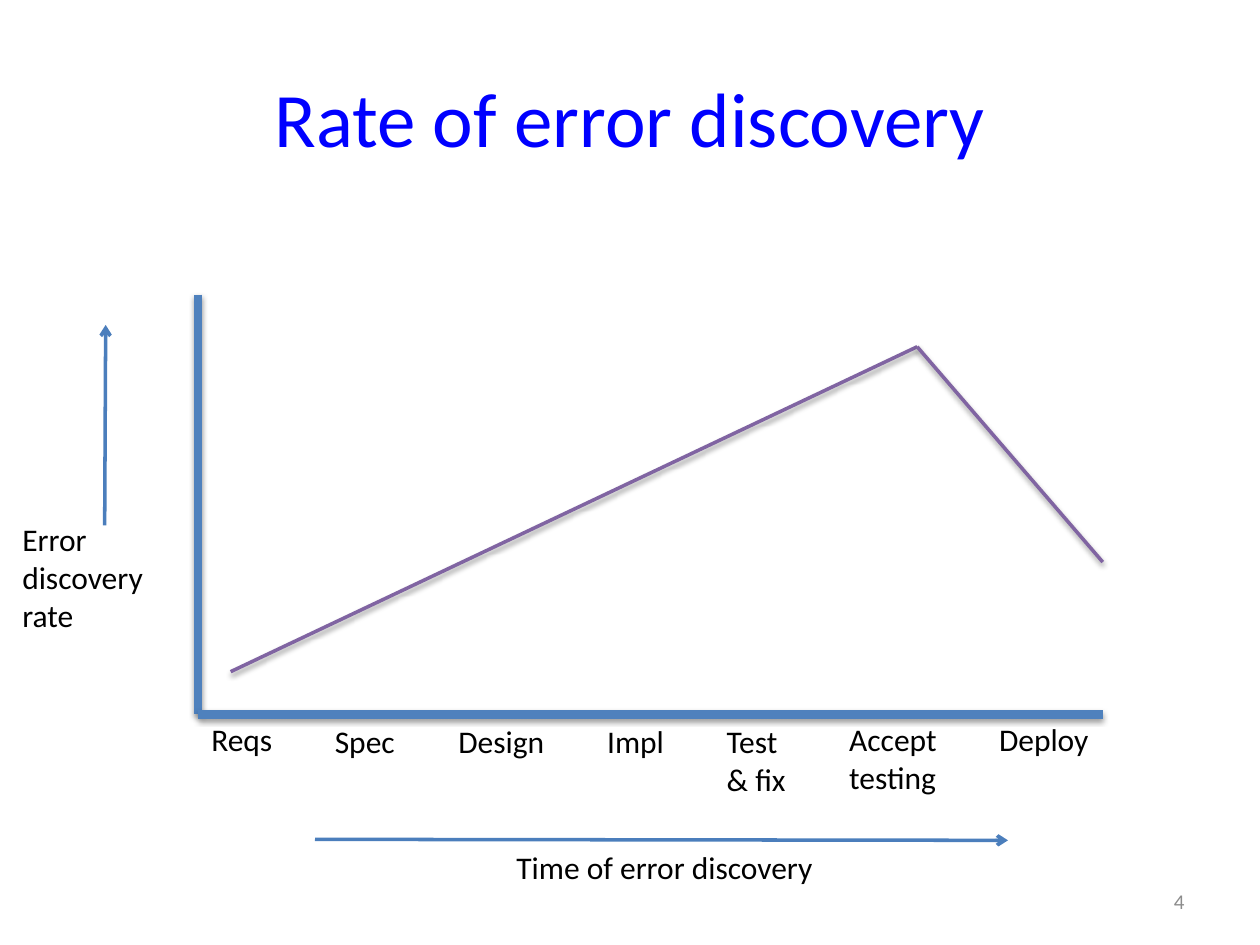
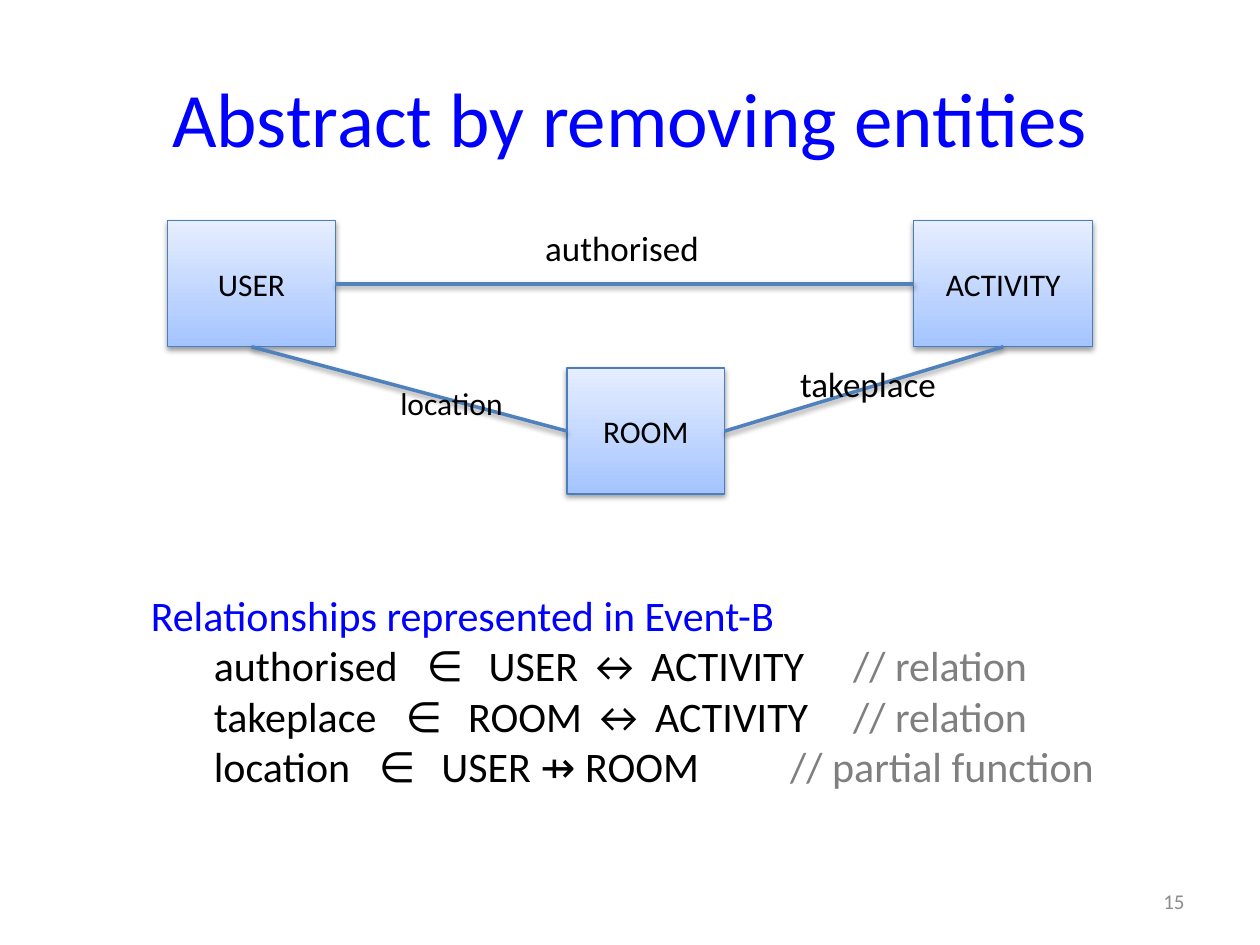
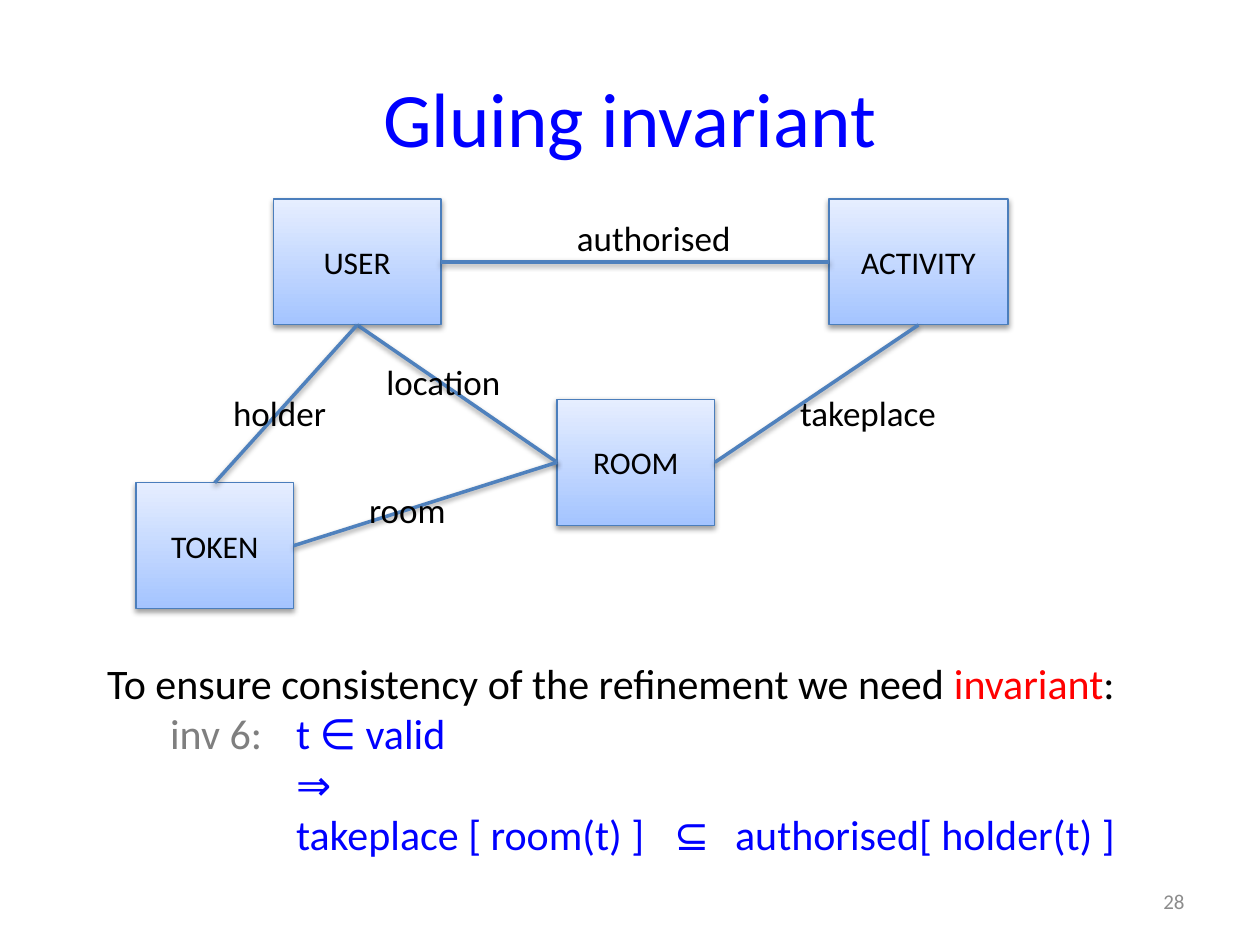
import dataclasses
import typing

import lxml.etree
import pptx
import pptx.dml.color
import pptx.enum.shapes
import pptx.enum.text
import pptx.oxml.ns
import pptx.util
from pptx.util import Cm

FONT = "Calibri"
BLACK, BLUE, RED, GRAY = "000000", "0000FF", "FF0000", "7F7F7F"
NUMBER_GRAY = "8C8C8C"
AXIS_BLUE, EDGE_BLUE, CURVE_PURPLE = "4F81BD", "4B7EBC", "8064A2"
BOX_BOTTOM, BOX_TOP = "A4C4FF", "E6EEFF"

BOX_HEIGHT = 2.54
BOX_WIDTHS = {"USER": 3.38, "ACTIVITY": 3.61, "ROOM": 3.18, "TOKEN": 3.18}
TOP, LEFT, BOTTOM, RIGHT = range(4)  # connection sites of a rectangle


# Lengths in these records are centimetres.
@dataclasses.dataclass(frozen=True)
class Label:
    text: str
    left: float
    top: float
    width: float
    size: int = 20


@dataclasses.dataclass(frozen=True)
class Stroke:
    start: tuple[float, float]
    end: tuple[float, float]
    color: str = AXIS_BLUE
    width: float = 2
    arrow: bool = False


@dataclasses.dataclass(frozen=True)
class Entity:
    name: str
    left: float
    top: float


@dataclasses.dataclass(frozen=True)
class Relation:
    source: str
    source_site: int
    target: str
    target_site: int


@dataclasses.dataclass(frozen=True)
class Statement:
    """One line of coloured phrases; tabs in them go to the stops."""
    phrases: list[tuple[str, str]]
    stops: tuple[float, ...] = ()


def rgb(color: str) -> pptx.dml.color.RGBColor:
    return pptx.dml.color.RGBColor.from_string(color)


def add_xml(parent: typing.Any, tag: str, **attributes: object) -> typing.Any:
    values = {name: str(value) for name, value in attributes.items()}
    return lxml.etree.SubElement(parent, pptx.oxml.ns.qn(tag), values)


def style_run(run: typing.Any, size: int, color: str) -> None:
    run.font.name = FONT
    run.font.size = pptx.util.Pt(size)
    run.font.color.rgb = rgb(color)


def style_runs(paragraph: typing.Any, size: int, color: str) -> None:
    for run in paragraph.runs:
        style_run(run, size, color)


def set_effects(shape: typing.Any, shadow: bool) -> None:
    """Replace the theme's effects by a soft shadow below, or by none."""
    effects = add_xml(shape._element.spPr, "a:effectLst")
    if shadow:
        outer = add_xml(effects, "a:outerShdw", blurRad=40000, dist=20000,
                        dir=5400000, rotWithShape=0)
        black = add_xml(outer, "a:srgbClr", val=BLACK)
        add_xml(black, "a:alpha", val=38000)


def add_text_box(slide: typing.Any, left: float, top: float, width: float,
                 lines: int, size: int, wrap: bool = False) -> typing.Any:
    height = 0.25 + lines * size * 0.043
    frame = slide.shapes.add_textbox(
        Cm(left), Cm(top), Cm(width), Cm(height)).text_frame
    frame.word_wrap = wrap
    frame.auto_size = pptx.enum.text.MSO_AUTO_SIZE.SHAPE_TO_FIT_TEXT
    return frame


def add_label(slide: typing.Any, label: Label) -> None:
    lines = label.text.count("\n") + 1
    frame = add_text_box(slide, label.left, label.top, label.width, lines, label.size)
    frame.text = label.text
    for paragraph in frame.paragraphs:
        style_runs(paragraph, label.size, BLACK)


def add_statements(slide: typing.Any, left: float, top: float, width: float,
                   statements: list[Statement]) -> None:
    size = 24
    frame = add_text_box(slide, left, top, width, len(statements), size, wrap=True)
    for index, statement in enumerate(statements):
        paragraph = frame.add_paragraph() if index else frame.paragraphs[0]
        if statement.stops:
            tabs = add_xml(paragraph._p.get_or_add_pPr(), "a:tabLst")
            for stop in statement.stops:
                add_xml(tabs, "a:tab", pos=int(Cm(stop)), algn="l")
        for text, color in statement.phrases:
            run = paragraph.add_run()
            run.text = text
            style_run(run, size, color)


def add_stroke(slide: typing.Any, stroke: Stroke) -> typing.Any:
    connector = slide.shapes.add_connector(
        pptx.enum.shapes.MSO_CONNECTOR.STRAIGHT,
        *(Cm(value) for value in stroke.start + stroke.end))
    connector.line.color.rgb = rgb(stroke.color)
    connector.line.width = pptx.util.Pt(stroke.width)
    if stroke.arrow:
        add_xml(connector.line._get_or_add_ln(), "a:tailEnd", type="arrow")
    set_effects(connector, shadow=not stroke.arrow)
    return connector


def add_entity(slide: typing.Any, entity: Entity) -> typing.Any:
    box = slide.shapes.add_shape(
        pptx.enum.shapes.MSO_SHAPE.RECTANGLE, Cm(entity.left), Cm(entity.top),
        Cm(BOX_WIDTHS[entity.name]), Cm(BOX_HEIGHT))
    box.fill.gradient()
    box.fill.gradient_angle = 90
    for stop, color in zip(box.fill.gradient_stops, (BOX_BOTTOM, BOX_TOP)):
        stop.color.rgb = rgb(color)
    box.line.color.rgb = rgb(EDGE_BLUE)
    box.line.width = pptx.util.Pt(0.75)
    set_effects(box, shadow=True)
    frame = box.text_frame
    frame.text = entity.name
    frame.vertical_anchor = pptx.enum.text.MSO_ANCHOR.MIDDLE
    frame.paragraphs[0].alignment = pptx.enum.text.PP_ALIGN.CENTER
    style_runs(frame.paragraphs[0], 18, BLACK)
    return box


def add_entity_diagram(slide: typing.Any, entities: list[Entity],
                       relations: list[Relation], labels: list[Label]) -> None:
    boxes = {entity.name: add_entity(slide, entity) for entity in entities}
    for relation in relations:
        connector = add_stroke(slide, Stroke((0, 0), (0, 0)))
        connector.begin_connect(boxes[relation.source], relation.source_site)
        connector.end_connect(boxes[relation.target], relation.target_site)
    for label in labels:
        add_label(slide, label)


def add_titled_slide(deck: typing.Any, heading: str, number: int) -> typing.Any:
    slide = deck.slides.add_slide(deck.slide_layouts[5])
    title = slide.shapes.title
    title.left, title.top, title.width, title.height = (
        Cm(1.27), Cm(0.76), Cm(22.86), Cm(3.18))
    title.text_frame.text = heading
    title.text_frame.vertical_anchor = pptx.enum.text.MSO_ANCHOR.MIDDLE
    title.text_frame.paragraphs[0].alignment = pptx.enum.text.PP_ALIGN.CENTER
    style_runs(title.text_frame.paragraphs[0], 44, BLUE)

    footer = slide.shapes.add_textbox(
        Cm(18.21), Cm(17.65), Cm(5.92), Cm(1.02)).text_frame
    footer.word_wrap = True
    footer.vertical_anchor = pptx.enum.text.MSO_ANCHOR.MIDDLE
    footer.text = str(number)
    footer.paragraphs[0].alignment = pptx.enum.text.PP_ALIGN.RIGHT
    style_runs(footer.paragraphs[0], 12, NUMBER_GRAY)
    return slide


def build_discovery_rate(deck: typing.Any) -> None:
    slide = add_titled_slide(deck, "Rate of error discovery", 4)
    origin, peak = (3.99, 14.4), (18.49, 6.99)
    strokes = [
        Stroke((3.99, 5.94), origin, width=5),
        Stroke(origin, (22.23, 14.4), width=5),
        Stroke((2.11, 10.59), (2.13, 6.55), EDGE_BLUE, arrow=True),
        Stroke((6.35, 16.92), (20.32, 16.94), EDGE_BLUE, arrow=True),
        Stroke((4.65, 13.54), peak, CURVE_PURPLE),
        Stroke(peak, (22.23, 11.33), CURVE_PURPLE),
    ]
    labels = [
        Label("Reqs", 4.01, 14.4, 1.75, 18),
        Label("Spec", 6.5, 14.43, 1.73, 18),
        Label("Design", 8.99, 14.43, 2.26, 18),
        Label("Impl", 11.99, 14.43, 1.68, 18),
        Label("Test\n& fix", 14.4, 14.43, 1.73, 18),
        Label("Accept\ntesting", 16.87, 14.4, 2.29, 18),
        Label("Deploy", 19.89, 14.4, 2.34, 18),
        Label("Error\ndiscovery\nrate", 0.2, 10.36, 2.97, 18),
        Label("Time of error discovery", 10.16, 16.97, 6.55, 18),
    ]
    for stroke in strokes:
        add_stroke(slide, stroke)
    for label in labels:
        add_label(slide, label)


CORE_RELATIONS = [
    Relation("USER", BOTTOM, "ROOM", LEFT),
    Relation("USER", RIGHT, "ACTIVITY", LEFT),
    Relation("ACTIVITY", BOTTOM, "ROOM", RIGHT),
]


def build_abstraction(deck: typing.Any) -> None:
    slide = add_titled_slide(deck, "Abstract by removing entities", 15)
    add_entity_diagram(
        slide,
        [Entity("USER", 3.38, 4.45), Entity("ACTIVITY", 18.42, 4.45),
         Entity("ROOM", 11.43, 7.42)],
        CORE_RELATIONS,
        [Label("authorised", 10.74, 4.45, 3.63),
         Label("takeplace", 15.88, 7.19, 3.28),
         Label("location", 7.82, 7.62, 2.59, 18)])
    add_statements(slide, 2.79, 11.76, 20.32, [
        Statement([("Relationships represented in Event-B", BLUE)]),
        Statement([("\tauthorised\t∈\tUSER ↔ ACTIVITY\t", BLACK),
                   ("// relation", GRAY)], (1.27, 5.56, 6.81, 14.16)),
        Statement([("\ttakeplace\t∈\tROOM ↔ ACTIVITY\t", BLACK),
                   ("// relation", GRAY)], (1.27, 5.14, 6.4, 14.16)),
        Statement([("\tlocation\t∈\tUSER ⇸ ROOM\t", BLACK),
                   ("// partial function", GRAY)], (1.27, 4.6, 5.86, 12.89)),
    ])


def build_gluing_invariant(deck: typing.Any) -> None:
    slide = add_titled_slide(deck, "Gluing invariant", 28)
    add_entity_diagram(
        slide,
        [Entity("USER", 5.51, 4.01), Entity("ACTIVITY", 16.71, 4.01),
         Entity("ROOM", 11.23, 8.05), Entity("TOKEN", 2.74, 9.73)],
        CORE_RELATIONS + [Relation("TOKEN", TOP, "USER", BOTTOM),
                          Relation("TOKEN", RIGHT, "ROOM", LEFT)],
        [Label("location", 7.54, 7.14, 2.84),
         Label("authorised", 11.38, 4.24, 3.63),
         Label("takeplace", 15.88, 7.77, 3.28),
         Label("room", 7.19, 9.73, 2.08),
         Label("holder", 4.45, 7.77, 2.41)])
    add_statements(slide, 1.91, 13.13, 21.39, [
        Statement([("To ensure consistency of the refinement we need ", BLACK),
                   ("invariant", RED), (":", BLACK)]),
        Statement([("\tinv 6:\t", GRAY), ("t ∈ valid", BLUE)], (1.27, 3.81)),
        Statement([("\t⇒", BLUE)], (3.81,)),
        Statement([("\ttakeplace [ room(t) ]\t⊆\tauthorised[ holder(t) ]", BLUE)],
                  (3.81, 11.43, 12.66)),
    ])


def main() -> None:
    deck = pptx.Presentation()
    deck.slide_width, deck.slide_height = Cm(25.4), Cm(19.05)
    build_discovery_rate(deck)
    build_abstraction(deck)
    build_gluing_invariant(deck)
    deck.save("out.pptx")


if __name__ == "__main__":
    main()
